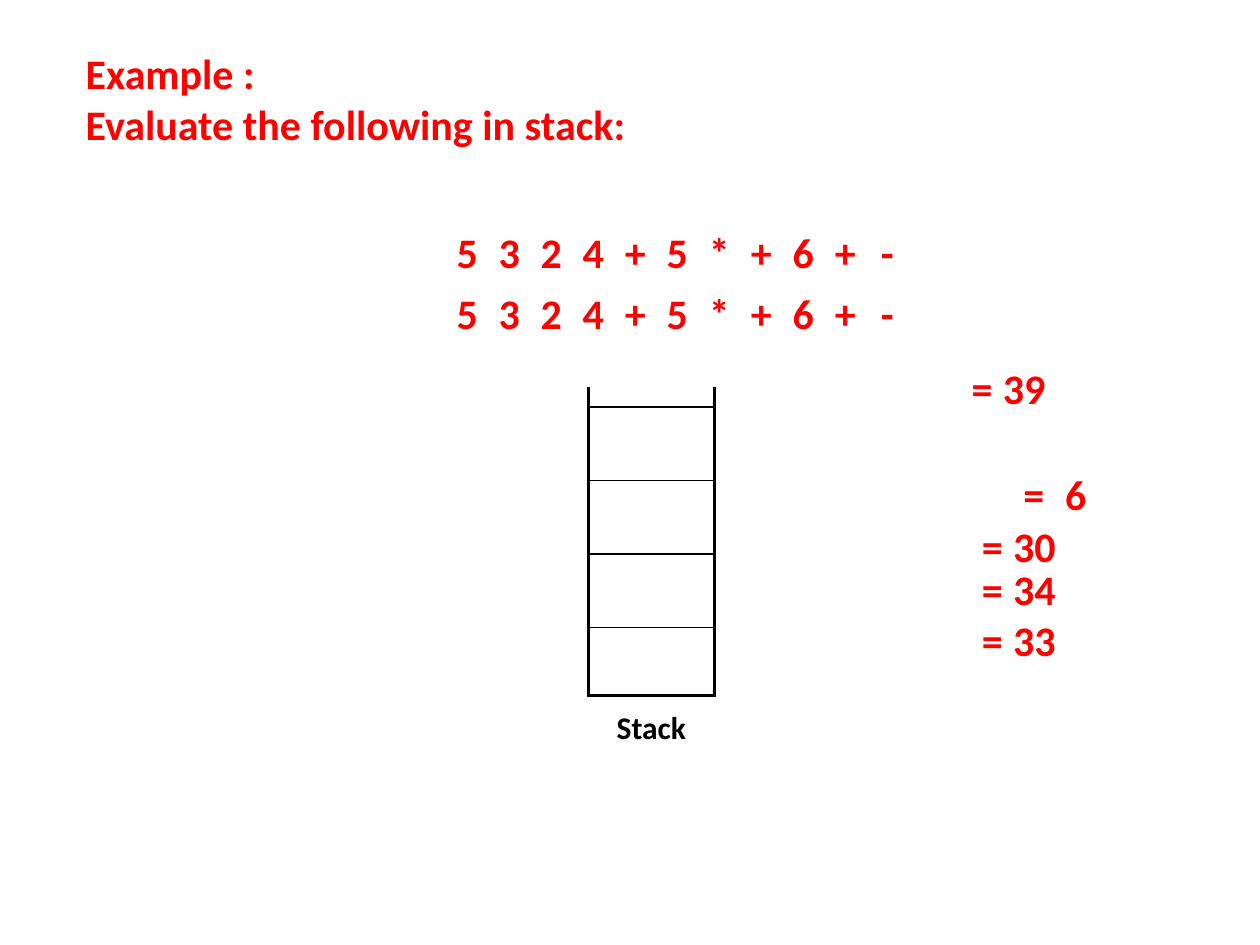
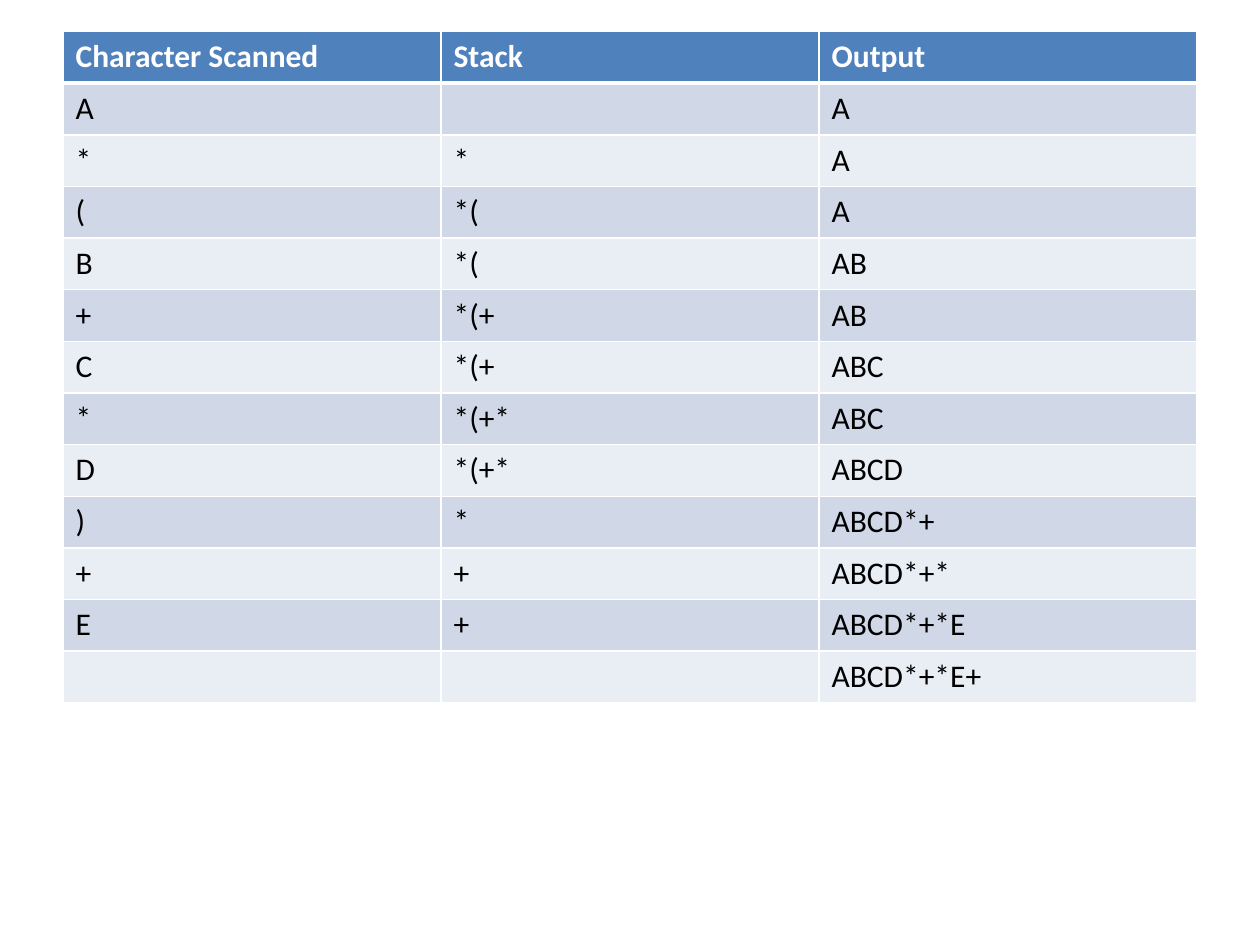
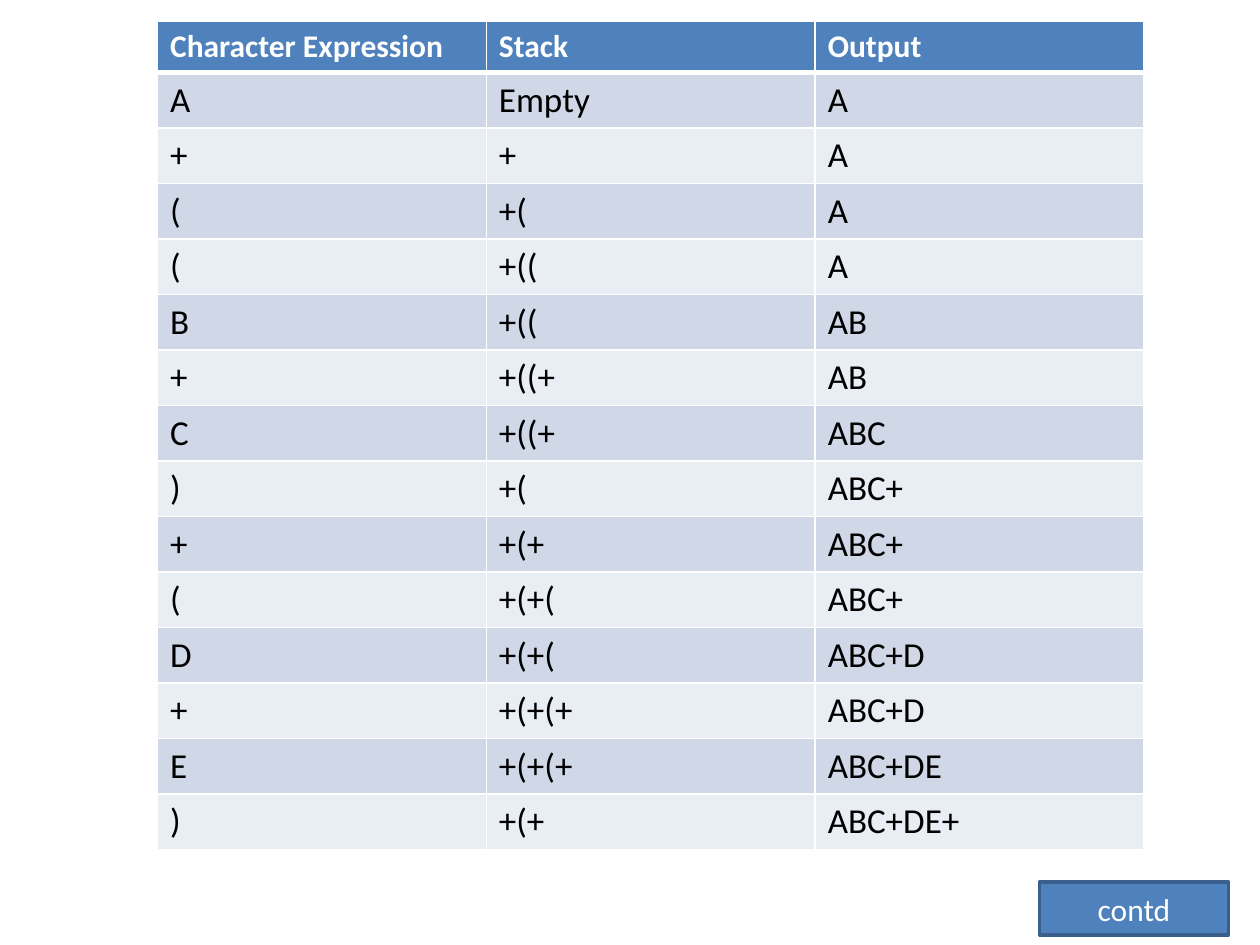
"""Build three slides on evaluating and converting expressions with a stack."""
from dataclasses import dataclass

from lxml.etree import SubElement
from pptx import Presentation
from pptx.dml.color import RGBColor
from pptx.enum.shapes import MSO_CONNECTOR as Connector, MSO_SHAPE as Shape
from pptx.enum.text import MSO_ANCHOR as Anchor, MSO_AUTO_SIZE as AutoSize, PP_ALIGN as Align
from pptx.oxml.ns import qn
from pptx.slide import Slide
from pptx.table import _Cell as Cell
from pptx.text.text import TextFrame
from pptx.util import Inches, Pt

RED = RGBColor(0xFF, 0x00, 0x00)
BLACK = RGBColor(0x00, 0x00, 0x00)
WHITE = RGBColor(0xFF, 0xFF, 0xFF)
BLUE = RGBColor(0x4F, 0x81, 0xBD)
DARK_BLUE = RGBColor(0x3A, 0x5F, 0x8C)
BANDS = (RGBColor(0xD0, 0xD8, 0xE8), RGBColor(0xE9, 0xED, 0xF4))
FONT = "Calibri"
TITLE_ONLY, BLANK = 5, 6
SYMBOL_STEP = 1 / 3
STACK_LEFT, STACK_WIDTH = 4.67, 1


@dataclass(frozen=True)
class Equation:
    """A result shown beside the stack."""
    left: float
    top: float
    value: str


@dataclass(frozen=True)
class Trace:
    """A table that follows a conversion one character at a time."""
    left: float
    top: float
    column_width: float
    header_height: float
    row_height: float
    size: int
    header: tuple[str, ...]
    rows: tuple[tuple[str, str, str], ...]


EQUATIONS = (
    Equation(7.42, 2.83, "39"),
    Equation(7.83, 3.67, "6"),
    Equation(7.5, 4.08, "30"),
    Equation(7.5, 4.42, "34"),
    Equation(7.5, 4.83, "33"),
)

SCANNED = Trace(
    0.5, 0.25, 3, 0.41, 0.41, 18,
    ("Character Scanned", "Stack", "Output"),
    (
        ("A", "", "A"),
        ("*", "*", "A"),
        ("(", "*(", "A"),
        ("B", "*(", "AB"),
        ("+", "*(+", "AB"),
        ("C", "*(+", "ABC"),
        ("*", "*(+*", "ABC"),
        ("D", "*(+*", "ABCD"),
        (")", "*", "ABCD*+"),
        ("+", "+", "ABCD*+*"),
        ("E", "+", "ABCD*+*E"),
        ("", "", "ABCD*+*E+"),
    ),
)

NESTED = Trace(
    1.25, 0.17, 2.61, 0.4, 0.43, 20,
    ("Character Expression", "Stack", "Output"),
    (
        ("A", "Empty", "A"),
        ("+", "+", "A"),
        ("(", "+(", "A"),
        ("(", "+((", "A"),
        ("B", "+((", "AB"),
        ("+", "+((+", "AB"),
        ("C", "+((+", "ABC"),
        (")", "+(", "ABC+"),
        ("+", "+(+", "ABC+"),
        ("(", "+(+(", "ABC+"),
        ("D", "+(+(", "ABC+D"),
        ("+", "+(+(+", "ABC+D"),
        ("E", "+(+(+", "ABC+DE"),
        (")", "+(+", "ABC+DE+"),
    ),
)


def write(frame: TextFrame, text: str, size: int, color: RGBColor,
          bold: bool = False, align: Align = Align.LEFT) -> None:
    """Fill a text frame with evenly formatted paragraphs."""
    frame.text = text
    for paragraph in frame.paragraphs:
        paragraph.alignment = align
        font = paragraph.font
        font.name, font.size, font.bold = FONT, Pt(size), bold
        font.color.rgb = color


def add_label(slide: Slide, text: str, left: float, top: float, width: float = 0.75,
              height: float = 0.5, size: int = 24, color: RGBColor = RED) -> None:
    """Add a bold, centred text box."""
    box = slide.shapes.add_textbox(Inches(left), Inches(top), Inches(width), Inches(height))
    frame = box.text_frame
    frame.word_wrap = True
    frame.auto_size = AutoSize.SHAPE_TO_FIT_TEXT
    write(frame, text, size, color, True, Align.CENTER)


def set_borders(cell: Cell, color: RGBColor, **widths: float) -> None:
    """Draw the named cell edges, hiding those of zero width."""
    properties = cell._tc.get_or_add_tcPr()
    for edge in "LRTB":
        if edge in widths:
            line = SubElement(properties, qn(f"a:ln{edge}"), w=str(Pt(widths[edge])))
            if widths[edge]:
                fill = SubElement(line, qn("a:solidFill"))
                SubElement(fill, qn("a:srgbClr"), val=str(color))
            else:
                SubElement(line, qn("a:noFill"))


def add_stack(slide: Slide) -> None:
    """Draw the open stack, its levels and its label."""
    left, width = Inches(STACK_LEFT), Inches(STACK_WIDTH)
    table = slide.shapes.add_table(1, 1, left, Inches(3.07), width, Inches(2.45)).table
    table.first_row = table.horz_banding = False
    cell = table.cell(0, 0)
    set_borders(cell, BLACK, L=2.25, R=2.25, T=0, B=2.25)
    cell.fill.background()
    for level in range(4):
        height = Inches(3.23 + level * 1.75 / 3)
        line = slide.shapes.add_connector(Connector.STRAIGHT, left, height, left + width, height)
        line.line.color.rgb = BLACK
        line.line.width = Pt(0.75)
        SubElement(line._element.spPr, qn("a:effectLst"))
    add_label(slide, "Stack", STACK_LEFT, 5.57, STACK_WIDTH, 0.43, 18, BLACK)


def add_trace(slide: Slide, trace: Trace) -> None:
    """Draw a banded trace table."""
    count, columns = len(trace.rows) + 1, len(trace.header)
    height = trace.header_height + trace.row_height * len(trace.rows)
    table = slide.shapes.add_table(
        count, columns, Inches(trace.left), Inches(trace.top),
        Inches(trace.column_width * columns), Inches(height)).table
    for index, texts in enumerate((trace.header, *trace.rows)):
        heading = index == 0
        table.rows[index].height = Inches(trace.header_height if heading else trace.row_height)
        for cell, text in zip(table.rows[index].cells, texts):
            if heading:
                set_borders(cell, WHITE, L=1, R=1, T=1, B=3)
            else:
                set_borders(cell, WHITE, L=1, R=1, B=1)
            cell.fill.solid()
            cell.fill.fore_color.rgb = BLUE if heading else BANDS[(index - 1) % 2]
            write(cell.text_frame, text, 18 if heading else trace.size,
                  WHITE if heading else BLACK, heading)


def add_button(slide: Slide, text: str) -> None:
    """Add the continuation box in the lower right corner."""
    button = slide.shapes.add_shape(
        Shape.RECTANGLE, Inches(8.25), Inches(7), Inches(1.5), Inches(0.42))
    button.shadow.inherit = False
    button.fill.solid()
    button.fill.fore_color.rgb = BLUE
    button.line.color.rgb = DARK_BLUE
    button.line.width = Pt(2)
    button.text_frame.vertical_anchor = Anchor.MIDDLE
    write(button.text_frame, text, 18, WHITE, align=Align.CENTER)


def build_evaluation(slide: Slide) -> None:
    """Show the postfix expression, the stack and the results."""
    title = slide.shapes.title
    title.left, title.top = Inches(0.58), Inches(0.33)
    title.width, title.height = Inches(9.42), Inches(0.9)
    title.text_frame.vertical_anchor = Anchor.TOP
    title.text_frame.auto_size = AutoSize.SHAPE_TO_FIT_TEXT
    write(title.text_frame, "Example :\nEvaluate the following in stack:", 24, RED, True)
    add_stack(slide)
    for top in (2.23, 1.75):
        for index, symbol in enumerate("5324+5*+6+-"):
            add_label(slide, symbol, 10 / 3 + index * SYMBOL_STEP, top)
    for equation in EQUATIONS:
        add_label(slide, "=", equation.left, equation.top)
        add_label(slide, equation.value, equation.left + SYMBOL_STEP, equation.top)


def main() -> None:
    """Build and save the deck."""
    deck = Presentation()
    deck.slide_width, deck.slide_height = Inches(10), Inches(7.5)
    build_evaluation(deck.slides.add_slide(deck.slide_layouts[TITLE_ONLY]))
    for trace in (SCANNED, NESTED):
        page = deck.slides.add_slide(deck.slide_layouts[BLANK])
        add_trace(page, trace)
    add_button(page, "contd")
    deck.save("out.pptx")


main()
